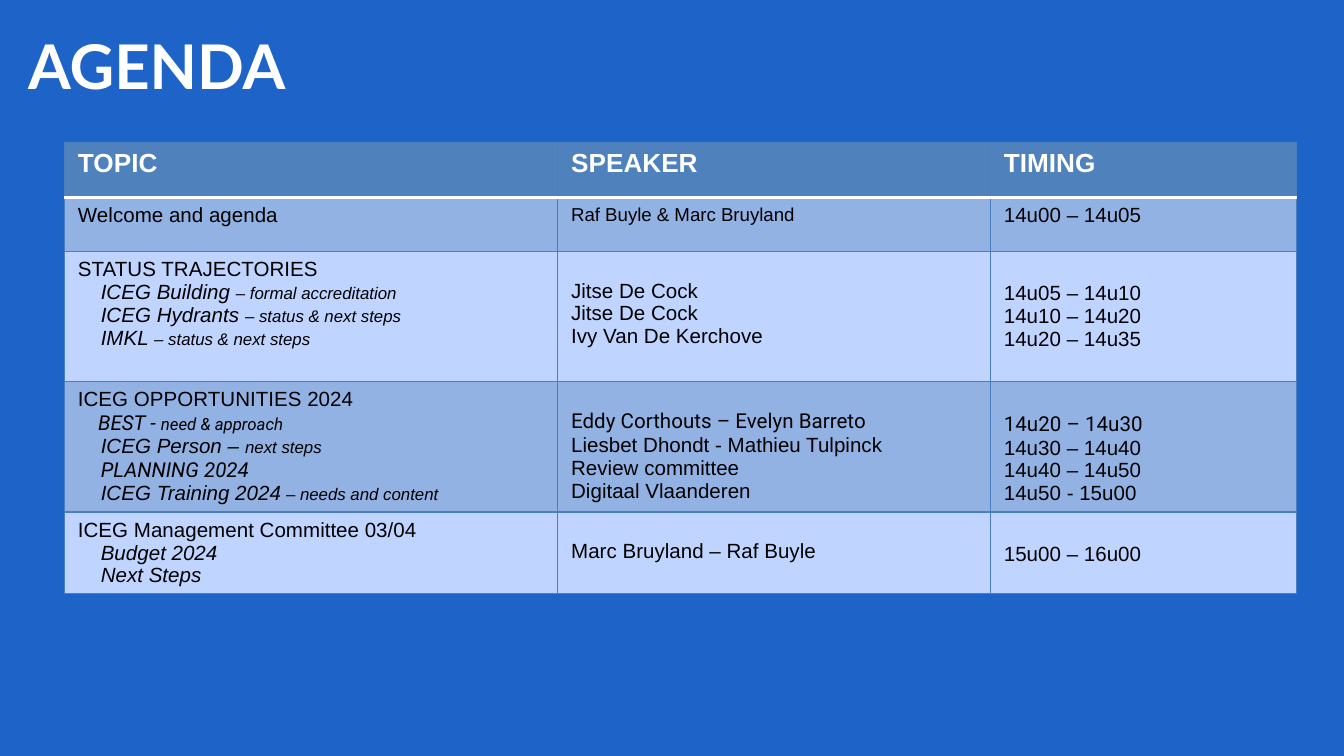
import dataclasses
import typing

import lxml.etree
import pptx
import pptx.dml.color
import pptx.enum.text
import pptx.oxml.ns
import pptx.util

Inches = pptx.util.Inches
Pt = pptx.util.Pt

HUES = {
    "back": "1E64C8",
    "head": "4F81BD",
    "dark": "93B2E4",
    "light": "BFD4FF",
    "edge": "4B7EBC",
    "white": "FFFFFF",
    "black": "000000",
}
COLS = [3.67, 3.22, 2.28]


@dataclasses.dataclass
class Run:
    text: str
    size: float = 11
    font: str = "Arial"
    slant: bool = False
    bold: bool = False
    hue: str = "black"


@dataclasses.dataclass
class Line:
    runs: list[Run]
    inset: float = 0


@dataclasses.dataclass
class Cell:
    lines: list[Line]
    top: float = 0.05


@dataclasses.dataclass
class Row:
    height: float
    hue: str
    cells: list[Cell]


def plain(text: str, size: float = 11, font: str = "Arial") -> Line:
    return Line([Run(text, size, font)])


def item(name: str, note: str = "", font: str = "Arial", inset: float = 0.17) -> Line:
    runs = [Run(name, font=font, slant=True)]
    if note:
        runs.append(Run(note, 9, font, slant=True))
    return Line(runs, inset)


def head(text: str) -> Cell:
    return Cell([Line([Run(text, 14, bold=True, hue="white")])])


def who(*lines: Line) -> Cell:
    return Cell(list(lines), 0.21)


def when(*lines: Line) -> Cell:
    return Cell(list(lines), 0.23)


ROWS = [
    Row(0.41, "head", [head("TOPIC"), head("SPEAKER"), head("TIMING")]),
    Row(0.4, "dark", [
        Cell([plain("Welcome and agenda")]),
        Cell([plain("Raf Buyle & Marc Bruyland", 10)]),
        Cell([plain("14u00 – 14u05")]),
    ]),
    Row(0.97, "light", [
        Cell([
            plain("STATUS TRAJECTORIES"),
            item("ICEG Building ", "– formal accreditation"),
            item("ICEG Hydrants ", "– status & next steps"),
            item("IMKL ", "– status & next steps"),
        ]),
        who(plain("Jitse De Cock"), plain("Jitse De Cock"),
            plain("Ivy Van De Kerchove")),
        when(plain("14u05 – 14u10"), plain("14u10 – 14u20"),
             plain("14u20 – 14u35")),
    ]),
    Row(0.97, "dark", [
        Cell([
            plain("ICEG OPPORTUNITIES 2024"),
            item("BEST - ", "need & approach", "Roboto", 0.15),
            item("ICEG Person – ", "next steps"),
            item("PLANNING 2024", font="Roboto"),
            item("ICEG Training 2024", " – needs and content"),
        ]),
        who(plain("Eddy Corthouts – Evelyn Barreto", font="Roboto"),
            plain("Liesbet Dhondt - Mathieu Tulpinck"),
            plain("Review committee"), plain("Digitaal Vlaanderen")),
        when(plain("14u20 – 14u30", font="Roboto"), plain("14u30 – 14u40"),
             plain("14u40 – 14u50"), plain("14u50 - 15u00")),
    ]),
    Row(0.61, "light", [
        Cell([
            plain("ICEG Management Committee 03/04"),
            item("Budget 2024"),
            item("Next Steps"),
        ]),
        who(plain("Marc Bruyland – Raf Buyle")),
        when(plain("15u00 – 16u00")),
    ]),
]


def tint(name: str) -> pptx.dml.color.RGBColor:
    return pptx.dml.color.RGBColor.from_string(HUES[name])


def write(frame: typing.Any, lines: list[Line]) -> None:
    for spot, line in enumerate(lines):
        para = frame.add_paragraph() if spot else frame.paragraphs[0]
        if line.inset:
            props = para._p.get_or_add_pPr()
            props.set("marL", str(Inches(line.inset)))
            props.set("indent", "0")
        for run in line.runs:
            piece = para.add_run()
            piece.text = run.text
            font = piece.font
            font.name = run.font
            font.size = Pt(run.size)
            font.bold = run.bold
            font.italic = run.slant
            font.color.rgb = tint(run.hue)


def edge(cell: typing.Any, side: str, hue: str, width: float) -> None:
    qn = pptx.oxml.ns.qn
    props = cell._tc.get_or_add_tcPr()
    line = lxml.etree.SubElement(props, qn(f"a:ln{side}"), w=str(Pt(width)))
    fill = lxml.etree.SubElement(line, qn("a:solidFill"))
    lxml.etree.SubElement(fill, qn("a:srgbClr"), val=HUES[hue])


def title(slide: typing.Any) -> None:
    box = slide.shapes.add_textbox(Inches(0.16), Inches(0), Inches(9), Inches(0.97))
    frame = box.text_frame
    frame.word_wrap = True
    frame.vertical_anchor = pptx.enum.text.MSO_ANCHOR.MIDDLE
    frame.margin_left = frame.margin_right = Inches(0.05)
    frame.margin_top = frame.margin_bottom = Inches(0.05)
    write(frame, [Line([Run("AGENDA", 33, "Lato", bold=True, hue="white")])])


def agenda(slide: typing.Any) -> None:
    high = sum(row.height for row in ROWS)
    table = slide.shapes.add_table(
        len(ROWS), len(COLS), Inches(0.48), Inches(1.06),
        Inches(sum(COLS)), Inches(high),
    ).table
    for col, width in enumerate(COLS):
        table.columns[col].width = Inches(width)
    for down, row in enumerate(ROWS):
        table.rows[down].height = Inches(row.height)
        for col, data in enumerate(row.cells):
            cell = table.cell(down, col)
            for side in "LRTB":
                rule = (down, side) in ((0, "B"), (1, "T"))
                edge(cell, side, "white" if rule else "edge", 2 if rule else 0.75)
            cell.fill.solid()
            cell.fill.fore_color.rgb = tint(row.hue)
            cell.margin_top = Inches(data.top)
            cell.margin_bottom = Inches(0)
            write(cell.text_frame, data.lines)


def main() -> None:
    deck = pptx.Presentation()
    deck.slide_width = Inches(10)
    deck.slide_height = Inches(10 * 9 / 16)
    slide = deck.slides.add_slide(deck.slide_layouts[6])
    slide.background.fill.solid()
    slide.background.fill.fore_color.rgb = tint("back")
    title(slide)
    agenda(slide)
    deck.save("out.pptx")


if __name__ == "__main__":
    main()
